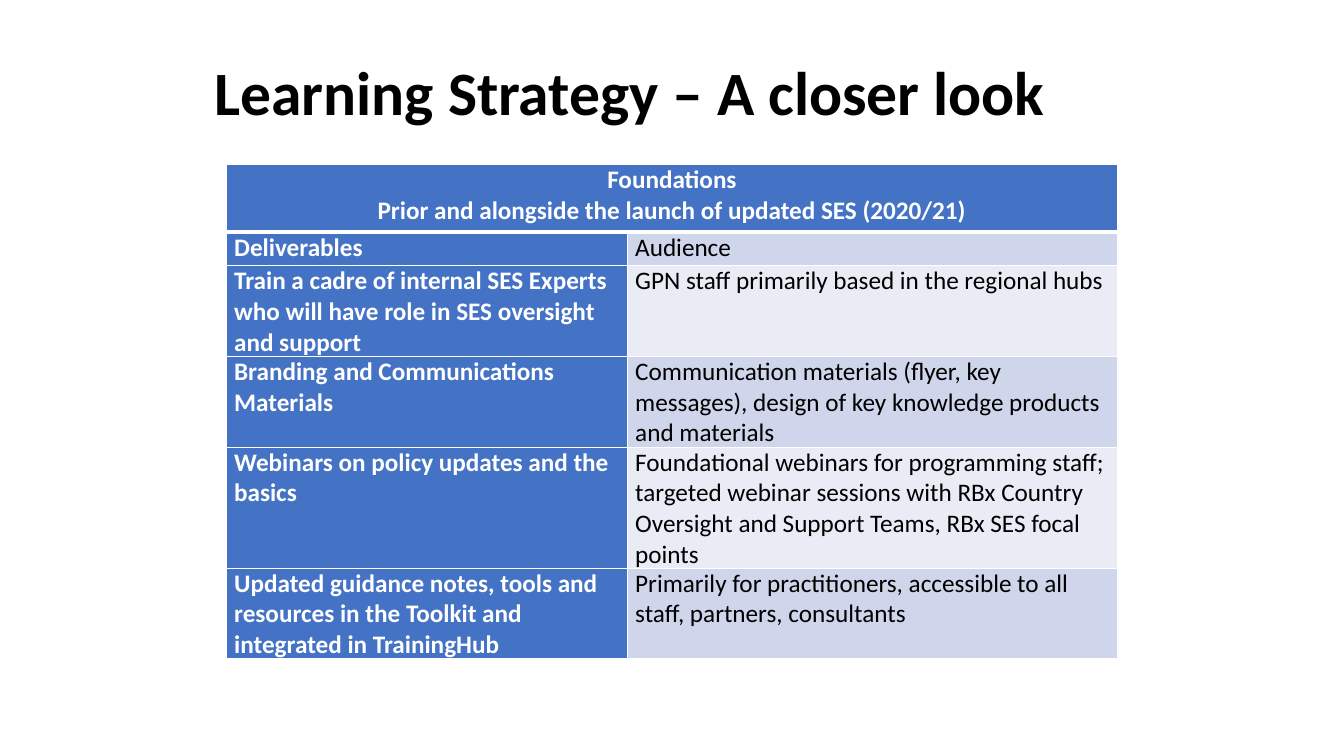
from lxml import etree
from pptx import Presentation
from pptx import util as u
from pptx.dml.color import RGBColor
from pptx.enum import text
from pptx.oxml.ns import qn

PX = 9525  # EMU per px, 96 px to the inch
FONT = "Calibri"
COLORS = {"white": "FFFFFF", "black": "000000", "blue": "4472C4",
          "band_dark": "CFD5EA", "band_light": "E9EBF5"}

TITLE = "Learning Strategy – A closer look "
HEADING = ["Foundations", "Prior and alongside the launch of updated SES (2020/21)"]
ROWS = [
    ("Deliverables", "Audience"),
    ("Train a cadre of internal SES Experts who will have role in SES oversight and support",
     "GPN staff primarily based in the regional hubs"),
    ("Branding and Communications Materials",
     "Communication materials (flyer, key messages), design of key knowledge products "
     "and materials"),
    ("Webinars on policy updates and the basics",
     "Foundational webinars for programming staff; targeted webinar sessions with RBx "
     "Country Oversight and Support Teams, RBx SES focal points"),
    ("Updated guidance notes, tools and resources in the Toolkit and integrated in TrainingHub",
     "Primarily for practitioners, accessible to all staff, partners, consultants"),
]
COL_WIDTHS = [382, 466]
ROW_HEIGHTS = [64, 32] + [64] * 4


def px(n):
    return u.Emu(n * PX)


def rgb(name):
    return RGBColor.from_string(COLORS[name])


def add_run(p, words, size, color, bold):
    r = p.add_run()
    r.text = words
    r.font.name = FONT
    r.font.size = u.Pt(size)
    r.font.bold = bold
    r.font.color.rgb = rgb(color)


def set_borders(cell, bottom=1):
    """Draw white lines round a cell; widths are in points."""
    tc_pr = cell._tc.get_or_add_tcPr()
    for i, (side, width) in enumerate([("L", 1), ("R", 1), ("T", 1), ("B", bottom)]):
        ln = etree.Element(qn(f"a:ln{side}"), w=str(u.Pt(width)))
        fill = etree.SubElement(ln, qn("a:solidFill"))
        etree.SubElement(fill, qn("a:srgbClr"), val=COLORS["white"])
        tc_pr.insert(i, ln)


def fill_cell(cell, lines, fill, color, bold, align=None, after=0, bottom=1):
    cell.margin_left = cell.margin_right = px(7)
    cell.margin_top = cell.margin_bottom = 0
    cell.fill.solid()
    cell.fill.fore_color.rgb = rgb(fill)
    set_borders(cell, bottom)
    tf = cell.text_frame
    for i, line in enumerate(lines):
        p = tf.add_paragraph() if i else tf.paragraphs[0]
        p.alignment = align
        if after:
            p.space_after = u.Pt(after)
        add_run(p, line, 18, color, bold)


def add_title(s, x, y, w, h):
    tf = s.shapes.add_textbox(px(x), px(y), px(w), px(h)).text_frame
    tf.word_wrap = True
    tf.vertical_anchor = text.MSO_ANCHOR.MIDDLE
    p = tf.paragraphs[0]
    p.alignment = text.PP_ALIGN.CENTER
    p.line_spacing = 0.9
    add_run(p, TITLE, 44, "black", True)


def add_foundations_table(s, x, y):
    table = s.shapes.add_table(len(ROW_HEIGHTS), len(COL_WIDTHS), px(x), px(y),
                               px(sum(COL_WIDTHS)), px(sum(ROW_HEIGHTS))).table
    for column, width in zip(table.columns, COL_WIDTHS):
        column.width = px(width)
    for row, height in zip(table.rows, ROW_HEIGHTS):
        row.height = px(height)

    heading, covered = table.cell(0, 0), table.cell(0, 1)
    heading.merge(covered)
    fill_cell(heading, HEADING, "blue", "white", True, text.PP_ALIGN.CENTER, bottom=3)
    set_borders(covered, bottom=3)

    for i, (deliverable, audience) in enumerate(ROWS, 1):
        after = 4 if i > 1 else 0
        band = "band_dark" if i % 2 else "band_light"
        fill_cell(table.cell(i, 0), [deliverable], "blue", "white", True, after=after)
        fill_cell(table.cell(i, 1), [audience], band, "black", False, after=after)


def main():
    prs = Presentation()
    prs.slide_width, prs.slide_height = px(1280), px(720)
    s = prs.slides.add_slide(prs.slide_layouts[6])
    add_title(s, 55, 49, 1104, 84)
    add_foundations_table(s, 216, 157)
    prs.save("out.pptx")


if __name__ == "__main__":
    main()
